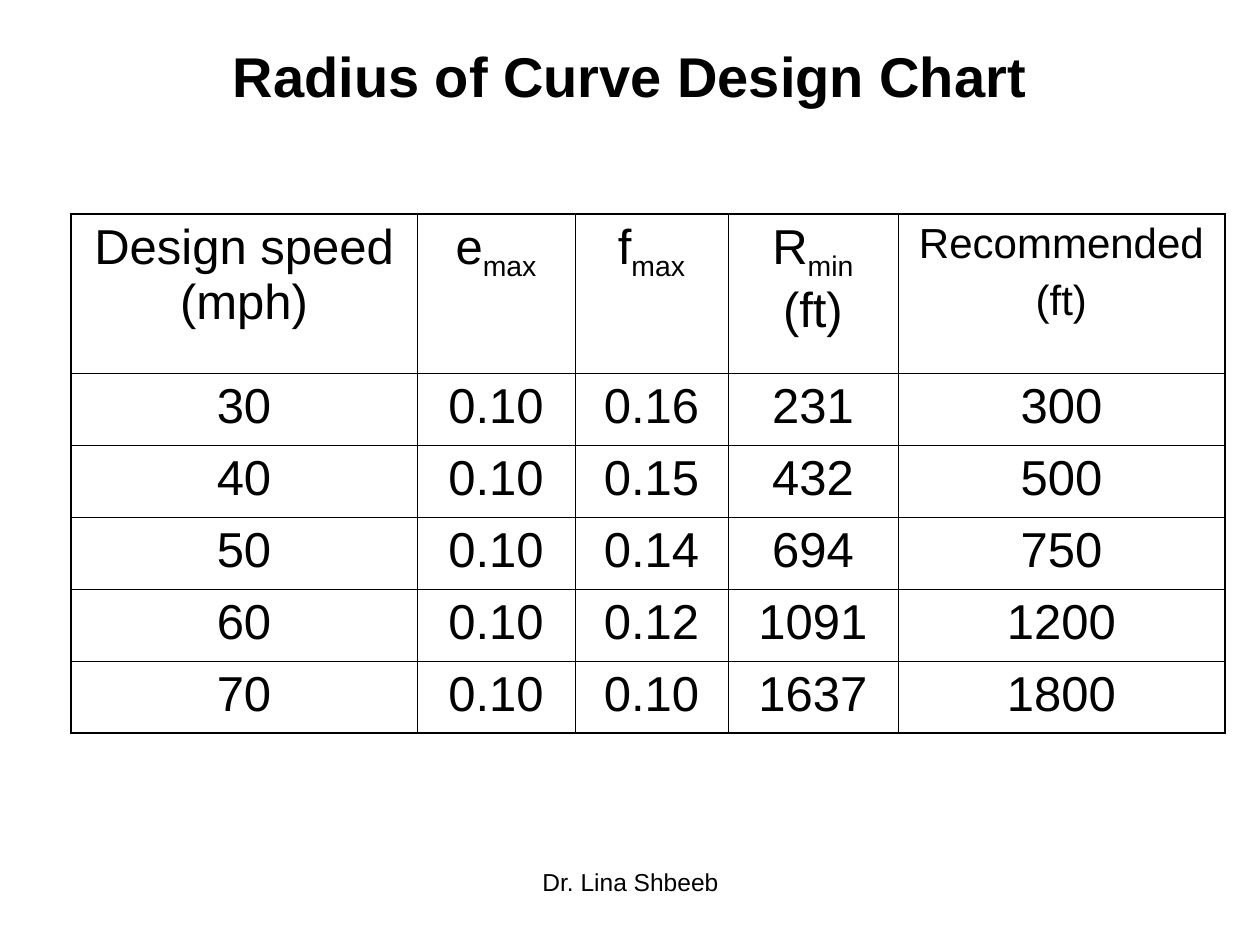
from lxml import etree
from pptx import Presentation
from pptx.dml.color import RGBColor
from pptx.enum.text import MSO_ANCHOR, PP_ALIGN
from pptx.oxml.ns import qn
from pptx.util import Pt

CENTER = PP_ALIGN.CENTER
TOP = MSO_ANCHOR.TOP
MIDDLE = MSO_ANCHOR.MIDDLE
BLACK = RGBColor(0, 0, 0)
FONT = "Arial"
OUTER_LINE = Pt(1.08)
INNER_LINE = Pt(0.45)
SUBSCRIPT = "-25000"

COLUMN_WIDTHS = [346, 158, 153, 170, 327]
HEADER_HEIGHT = 159
ROW_HEIGHT = 72

HEADERS = [
    [[("Design speed (mph)", False)]],
    [[("e", False), ("max", True)]],
    [[("f", False), ("max", True)]],
    [[("R", False), ("min", True), (" (ft)", False)]],
    [[("Recommended", False)], [("(ft)", False)]],
]
HEADER_SIZES = [28, 28, 28, 28, 24]
DESIGN_VALUES = [
    ("30", "0.10", "0.16", "231", "300"),
    ("40", "0.10", "0.15", "432", "500"),
    ("50", "0.10", "0.14", "694", "750"),
    ("60", "0.10", "0.12", "1091", "1200"),
    ("70", "0.10", "0.10", "1637", "1800"),
]


def px(value):
    return round(value * 914400 / 126)


def add_run(paragraph, text, size, bold=False, subscript=False):
    run = paragraph.add_run()
    run.text = text
    run.font.name = FONT
    run.font.size = Pt(size)
    run.font.bold = bold
    run.font.color.rgb = BLACK
    if subscript:
        run._r.get_or_add_rPr().set("baseline", SUBSCRIPT)


def add_caption(slide, box, text, size, bold=False, anchor=TOP):
    frame = slide.shapes.add_textbox(*map(px, box)).text_frame
    frame.word_wrap = True
    frame.vertical_anchor = anchor
    paragraph = frame.paragraphs[0]
    paragraph.alignment = CENTER
    add_run(paragraph, text, size, bold)


def set_border(cell, side, width):
    line = etree.SubElement(cell._tc.get_or_add_tcPr(), qn(f"a:ln{side}"), w=str(width))
    fill = etree.SubElement(line, qn("a:solidFill"))
    etree.SubElement(fill, qn("a:srgbClr"), val=str(BLACK))


def fill_cell(cell, paragraphs, size):
    frame = cell.text_frame
    for index, runs in enumerate(paragraphs):
        paragraph = frame.add_paragraph() if index else frame.paragraphs[0]
        paragraph.alignment = CENTER
        if index:
            paragraph.space_before = Pt(6)
        for text, subscript in runs:
            add_run(paragraph, text, size, subscript=subscript)


def add_design_table(slide, left, top):
    row_heights = [HEADER_HEIGHT] + [ROW_HEIGHT] * len(DESIGN_VALUES)
    last_row, last_column = len(row_heights) - 1, len(COLUMN_WIDTHS) - 1
    box = (left, top, sum(COLUMN_WIDTHS), sum(row_heights))
    table = slide.shapes.add_table(
        len(row_heights), len(COLUMN_WIDTHS), *map(px, box)
    ).table
    table.first_row = False
    table.horz_banding = False
    for column, width in zip(table.columns, COLUMN_WIDTHS):
        column.width = px(width)
    for row, height in zip(table.rows, row_heights):
        row.height = px(height)

    contents = [HEADERS] + [
        [[[(value, False)]] for value in values] for values in DESIGN_VALUES
    ]
    for r, cells in enumerate(contents):
        for c, paragraphs in enumerate(cells):
            cell = table.cell(r, c)
            fill_cell(cell, paragraphs, 28 if r else HEADER_SIZES[c])
            edges = {"L": c == 0, "R": c == last_column,
                     "T": r == 0, "B": r == last_row}
            for side, is_outer in edges.items():
                set_border(cell, side, OUTER_LINE if is_outer else INNER_LINE)
            cell.fill.background()


def main():
    presentation = Presentation()
    presentation.slide_width = px(1260)
    presentation.slide_height = px(945)
    slide = presentation.slides.add_slide(presentation.slide_layouts[6])
    add_caption(slide, (63, 38, 1134, 74), "Radius of Curve Design Chart", 32,
                bold=True, anchor=MIDDLE)
    add_design_table(slide, 71, 214)
    add_caption(slide, (431, 861, 399, 66), "Dr. Lina Shbeeb", 14)
    presentation.save("out.pptx")


if __name__ == "__main__":
    main()
